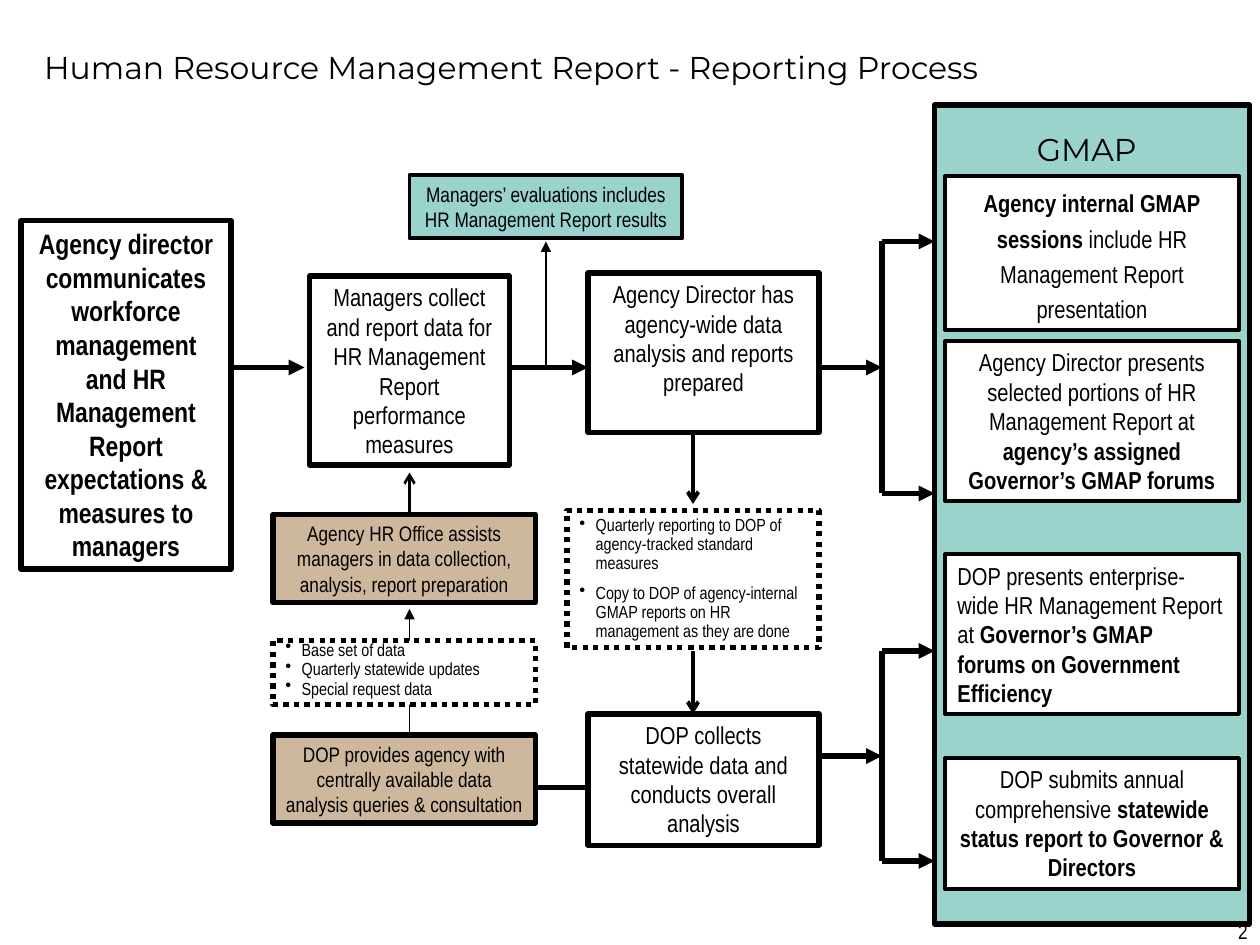
from lxml.etree import SubElement
from pptx import Presentation
from pptx.dml.color import RGBColor
from pptx.enum.dml import MSO_LINE
from pptx.enum.shapes import MSO_CONNECTOR, MSO_SHAPE
from pptx.enum.text import MSO_ANCHOR, MSO_AUTO_SIZE, PP_ALIGN
from pptx.oxml.ns import qn
from pptx.util import Inches, Pt

BLACK = RGBColor(0x00, 0x00, 0x00)
WHITE = RGBColor(0xFF, 0xFF, 0xFF)
TEAL = RGBColor(0x99, 0xD3, 0xCC)
TAN = RGBColor(0xCD, 0xB8, 0x9D)
BODY_FONT, HEADING_FONT = "Arial Narrow", "Montserrat"


def grid(*cells):
    """Convert cells of a 120 x 90 grid (twelve to the inch) to lengths."""
    return [Inches(cell / 12) for cell in cells]


def write(frame, *paragraphs, size=14, font=BODY_FONT, align=PP_ALIGN.CENTER,
          spacing=None, gap=0, bullets=False):
    """Fill a text frame; **double stars** mark bold words."""
    frame.word_wrap = True
    frame.auto_size = MSO_AUTO_SIZE.NONE
    frame.vertical_anchor = MSO_ANCHOR.TOP
    for index, words in enumerate(paragraphs):
        paragraph = frame.add_paragraph() if index else frame.paragraphs[0]
        if bullets:
            properties = paragraph._p.get_or_add_pPr()
            properties.set("marL", str(Inches(0.13)))
            properties.set("indent", str(-Inches(0.13)))
            SubElement(properties, qn("a:buChar")).set("char", "•")
        paragraph.alignment = align
        paragraph.line_spacing = spacing
        if index:
            paragraph.space_before = Pt(gap)
        for part, piece in enumerate(words.split("**")):
            if piece:
                run = paragraph.add_run()
                run.text = piece
                run.font.name, run.font.size = font, Pt(size)
                run.font.bold = part % 2 == 1
                run.font.color.rgb = BLACK


def add_box(slide, box, *paragraphs, fill=WHITE, weight=3, dotted=False, **text_format):
    step = slide.shapes.add_shape(MSO_SHAPE.RECTANGLE, *grid(*box))
    step.shadow.inherit = False
    if fill is None:
        step.fill.background()
    else:
        step.fill.solid()
        step.fill.fore_color.rgb = fill
    step.line.color.rgb = BLACK
    step.line.width = Pt(weight)
    if dotted:
        step.line.dash_style = MSO_LINE.ROUND_DOT
    write(step.text_frame, *paragraphs, **text_format)


def add_label(slide, box, words, **text_format):
    label = slide.shapes.add_textbox(*grid(*box))
    write(label.text_frame, words, **text_format)


def add_line(slide, start, end, weight=3, head="triangle"):
    link = slide.shapes.add_connector(MSO_CONNECTOR.STRAIGHT, *grid(*start, *end))
    link.line.color.rgb = BLACK
    link.line.width = Pt(weight)
    if head:
        SubElement(link.line._get_or_add_ln(), qn("a:tailEnd")).set("type", head)
    SubElement(link._element.spPr, qn("a:effectLst"))


def add_title(slide, box):
    title = slide.shapes.title
    title.left, title.top, title.width, title.height = grid(*box)
    write(title.text_frame, "Human Resource Management Report - Reporting Process",
          size=18, font=HEADING_FONT, align=PP_ALIGN.LEFT)


def add_fork(slide, left, top, width, height, entry):
    """One arrow in, a vertical bar, and an arrow out at each end."""
    bar, right, bottom = left + 6, left + width, top + height
    add_line(slide, (left, top + entry), (bar, top + entry))
    add_line(slide, (bar, top), (bar, bottom), head=None)
    for level in (top, bottom):
        add_line(slide, (bar, level), (right, level))


def add_gmap_panel(slide, left, top, width, height):
    add_box(slide, (left, top, width, height), fill=TEAL)
    add_label(slide, (left + 8, top, 13, 6.6), "GMAP",
              size=18, font=HEADING_FONT, spacing=1.5)
    cards = [
        (6.8, 14.6, "**Agency internal GMAP sessions** include HR Management Report "
         "presentation", {"spacing": 1.2}),
        (22.5, 15.2, "Agency Director presents selected portions of HR Management "
         "Report at **agency’s assigned Governor’s GMAP forums**", {}),
        (42.8, 15.2, "DOP presents enterprise-wide HR Management Report at "
         "**Governor’s GMAP forums on Government Efficiency**",
         {"align": PP_ALIGN.LEFT}),
        (62.2, 12.5, "DOP submits annual comprehensive **statewide status report "
         "to Governor & Directors**", {}),
    ]
    for offset, depth, words, text_format in cards:
        add_box(slide, (left + 1, top + offset, width - 2, depth), words,
                weight=2.25, **text_format)


def add_manager_steps(slide, left, top, width, height):
    flow = top + 18.3
    # Links between expectations, data collection and evaluations
    add_line(slide, (left + 20, flow), (left + 27, flow))
    add_line(slide, (left + 46, flow), (left + width, flow))
    add_line(slide, (left + 50, flow), (left + 50, top + 6.3), weight=0.75)
    # Steps
    add_box(slide, (left, top + 4.3, 20, height - 4.3),
            "**Agency director communicates workforce management and HR Management "
            "Report expectations & measures to managers**", size=16)
    add_box(slide, (left + 27.5, top + 9.6, 19, 18),
            "Managers collect and report data for HR Management Report "
            "performance measures")
    add_box(slide, (left + 37, top, 26, 6),
            "Managers’ evaluations includes HR Management Report results",
            fill=TEAL, weight=2.25, size=12)


def add_support_steps(slide, left, top, width, height):
    middle = left + 13
    add_line(slide, (middle, top + height - 8.4), (middle, top + 13), weight=0.75)
    add_line(slide, (middle, top + 4), (middle, top), weight=1.5, head="arrow")
    add_line(slide, (left + width, top + 30), (left + width + 5, top + 30), head=None)
    add_box(slide, (left, top + height - 8.4, width, 8.4),
            "DOP provides agency with centrally available data analysis queries "
            "& consultation", fill=TAN, size=12)
    add_box(slide, (left, top + 4, width, 8.4),
            "Agency HR Office assists managers in data collection, analysis, "
            "report preparation", fill=TAN, size=12)
    add_box(slide, (left, top + 16, width, 6.1),
            "Base set of data", "Quarterly statewide updates", "Special request data",
            dotted=True, size=10, align=PP_ALIGN.LEFT, spacing=0.6, gap=3.7,
            bullets=True)


def add_director_steps(slide, left, top, width, height):
    middle = left + 12
    for start, end in ((15, 22), (36, 42)):
        add_line(slide, (middle, top + start), (middle, top + end),
                 weight=2.25, head="arrow")
    add_box(slide, (left + 2, top, width - 2, 15.2),
            "Agency Director has agency-wide data analysis and reports prepared")
    add_box(slide, (left, top + 22.6, width, 13.1),
            "Quarterly reporting to DOP of agency-tracked standard measures",
            "Copy to DOP of agency-internal GMAP reports on HR management as they "
            "are done", fill=None, dotted=True, size=10, align=PP_ALIGN.LEFT,
            spacing=0.9, gap=6.2, bullets=True)
    add_box(slide, (left + 2, top + height - 12.5, width - 2, 12.5),
            "DOP collects statewide data and conducts overall analysis")


def main():
    deck = Presentation()
    deck.slide_width, deck.slide_height = grid(120, 90)
    slide = deck.slides.add_slide(deck.slide_layouts[5])
    add_title(slide, (3, 4, 105, 8))
    add_fork(slide, 78, 62, 11, 20, entry=10)
    add_fork(slide, 78, 23, 11, 24, entry=12)
    add_gmap_panel(slide, 89, 10, 30, 78)
    add_manager_steps(slide, 2, 16.7, 54, 37.5)
    add_support_steps(slide, 26, 45, 25, 33.4)
    add_director_steps(slide, 54, 26, 24, 54.5)
    # Page number
    add_label(slide, (92, 86.9, 28, 6.2), "2", size=12, align=PP_ALIGN.RIGHT)
    deck.save("out.pptx")


if __name__ == "__main__":
    main()
